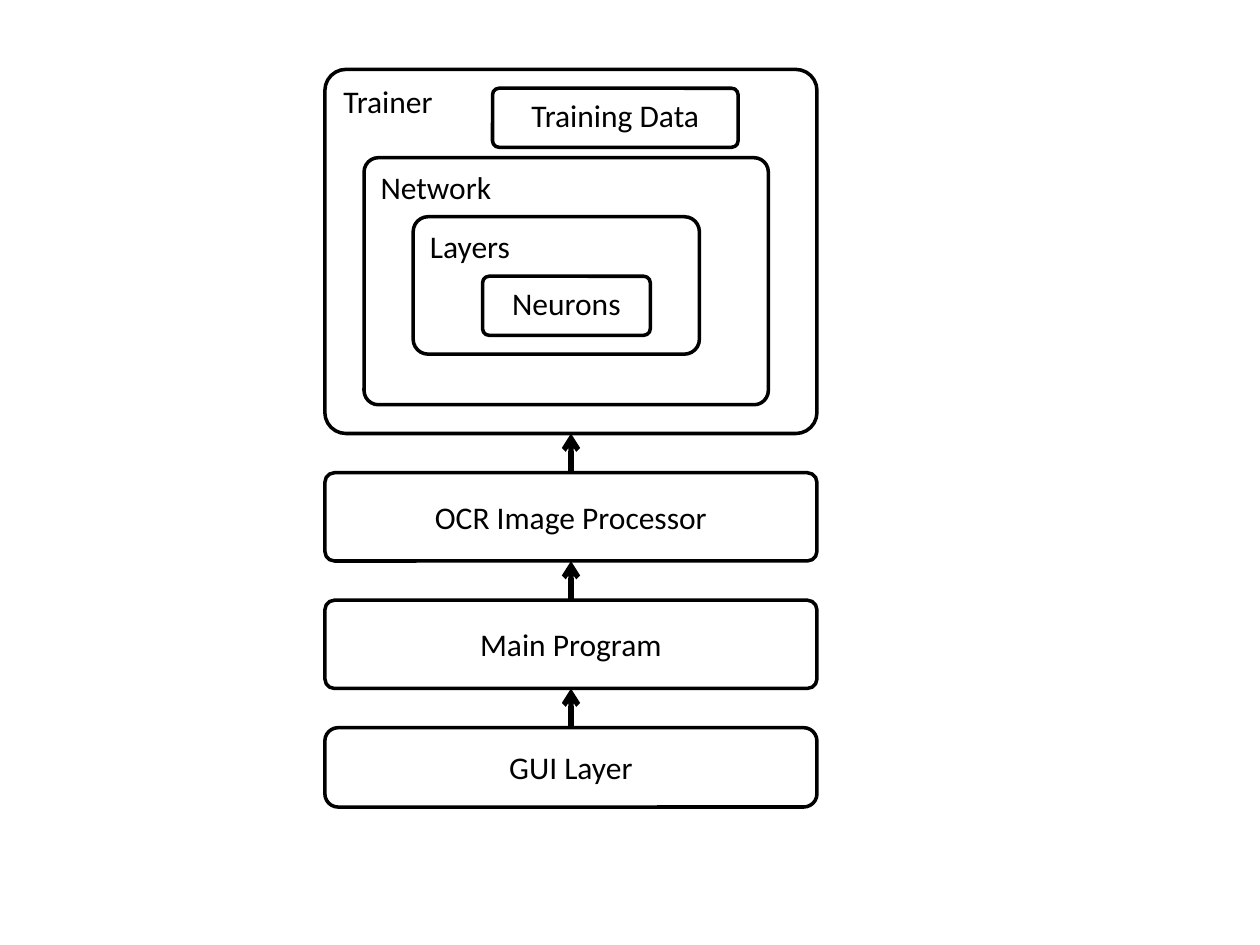
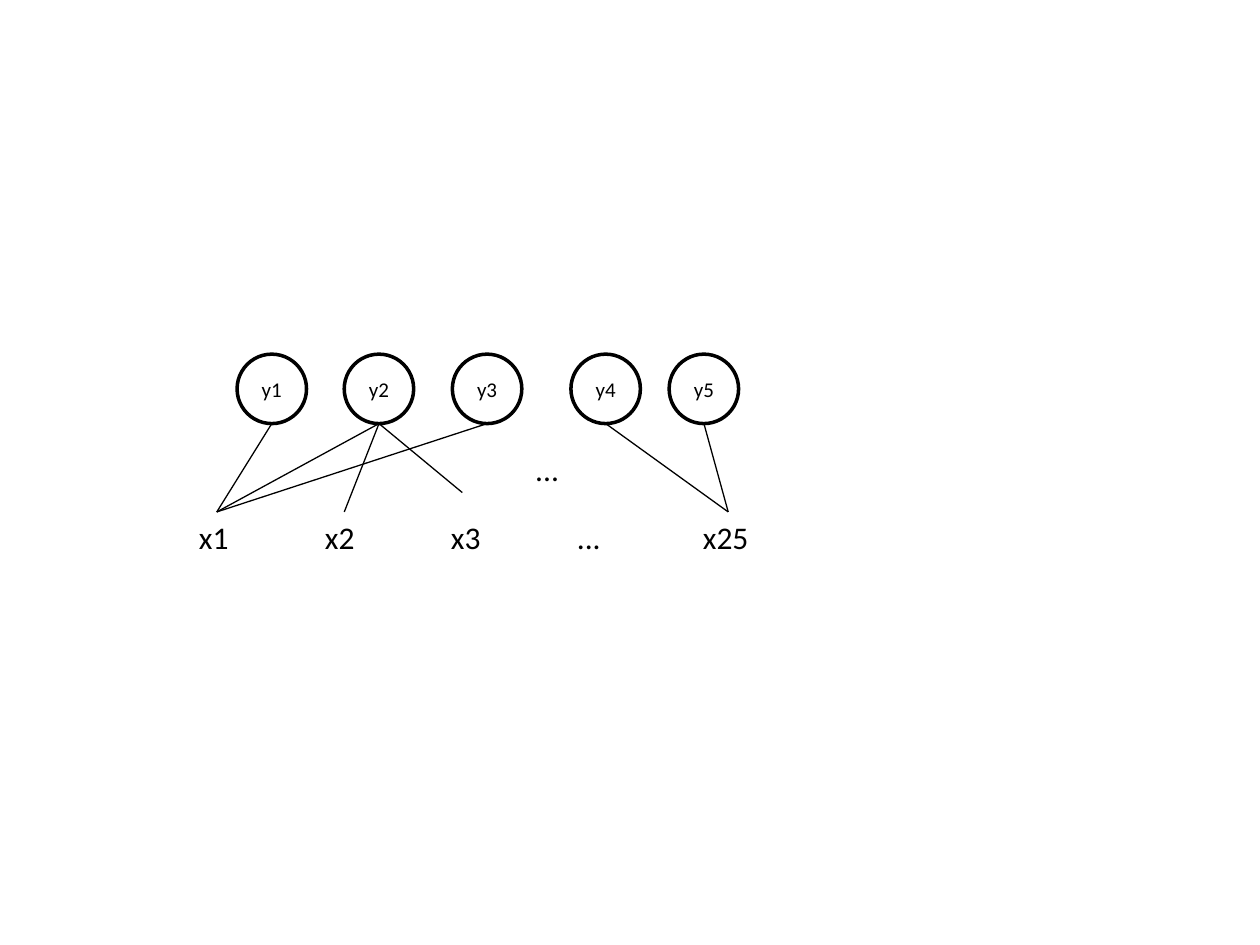
from dataclasses import dataclass

from lxml import etree
from pptx import Presentation
from pptx.dml.color import RGBColor
from pptx.enum.shapes import MSO_CONNECTOR, MSO_SHAPE
from pptx.enum.text import MSO_ANCHOR, PP_ALIGN
from pptx.oxml.ns import qn
from pptx.util import Cm, Pt

ROUNDED, CIRCLE = MSO_SHAPE.ROUNDED_RECTANGLE, MSO_SHAPE.OVAL
STRAIGHT = MSO_CONNECTOR.STRAIGHT
TOP, MIDDLE = MSO_ANCHOR.TOP, MSO_ANCHOR.MIDDLE
LEFT, CENTER = PP_ALIGN.LEFT, PP_ALIGN.CENTER
TOP_SITE, BOTTOM_SITE = 0, 2
BLANK_LAYOUT = 6


@dataclass(frozen=True)
class Theme:
    """Colours, font, type sizes and line widths of the deck."""
    ink: RGBColor = RGBColor(0, 0, 0)
    font: str = "Calibri"
    body: Pt = Pt(18)
    small: Pt = Pt(12)
    outline: Pt = Pt(2)
    arrow: Pt = Pt(3)
    hairline: Pt = Pt(0.75)


THEME = Theme()


def write(shape, text, size=THEME.body, align=LEFT, anchor=TOP):
    """Put one styled paragraph in a shape and return the paragraph."""
    tf = shape.text_frame
    tf.word_wrap = True
    tf.vertical_anchor = anchor
    p = tf.paragraphs[0]
    p.text = text
    p.alignment = align
    p.font.name, p.font.size = THEME.font, size
    p.font.color.rgb = THEME.ink
    return p


def add_outlined(s, kind, text, left, top, width, height, **style):
    """Add an unfilled black-outlined shape with a label."""
    sp = s.shapes.add_shape(kind, Cm(left), Cm(top), Cm(width), Cm(height))
    sp.shadow.inherit = False
    sp.fill.background()
    sp.line.color.rgb = THEME.ink
    sp.line.width = THEME.outline
    write(sp, text, **style)
    return sp


def add_block(s, text, left, top, width, height, corner=0.109, **style):
    """Add a rounded block whose corner is a share of its shorter side."""
    sp = add_outlined(s, ROUNDED, text, left, top, width, height, **style)
    sp.adjustments[0] = corner
    return sp


def add_label(s, text, left, top, width, height=1.02):
    """Add a text box and return its paragraph."""
    sp = s.shapes.add_textbox(Cm(left), Cm(top), Cm(width), Cm(height))
    return write(sp, text)


def add_line(s, x1, y1, x2, y2, width):
    """Add a plain straight line."""
    line = s.shapes.add_connector(STRAIGHT, Cm(x1), Cm(y1), Cm(x2), Cm(y2))
    line.line.color.rgb = THEME.ink
    line.line.width = width
    etree.SubElement(line._element.spPr, qn("a:effectLst"))
    return line


def add_arrow(s, lower, upper):
    """Join the top of one block to the bottom of the block above it."""
    arrow = add_line(s, 0, 0, 0, 0, THEME.arrow)
    arrow.begin_connect(lower, TOP_SITE)
    arrow.end_connect(upper, BOTTOM_SITE)
    etree.SubElement(arrow.line._get_or_add_ln(), qn("a:tailEnd"), type="arrow")


def set_tab_stops(p, step, count):
    """Give a paragraph evenly spaced left tab stops."""
    tabs = etree.SubElement(p._p.get_or_add_pPr(), qn("a:tabLst"))
    for i in range(1, count + 1):
        etree.SubElement(tabs, qn("a:tab"), pos=str(Cm(step * i)), algn="l")


def add_trainer(s, left, top, width, height):
    """Draw the trainer block with its nested parts."""
    trainer = add_block(s, "Trainer", left, top, width, height, 0.058)
    add_block(s, "Network", left + 0.79, top + 1.78, 8.15, 4.98, 0.058)
    add_block(s, "Layers", left + 1.78, top + 2.97, 5.77, 2.77)
    add_block(s, "Neurons", left + 3.18, top + 4.17, 3.38, 1.19, align=CENTER)
    add_block(s, "Training Data", left + 3.38, top + 0.38, 4.95, 1.19, align=CENTER)
    return trainer


def architecture_slide(s, left, top, width):
    """Stack the program layers below the trainer, with arrows going up."""
    gap, trainer_height = 0.79, 7.34
    upper = add_trainer(s, left, top, width, trainer_height)
    top += trainer_height + gap
    layers = (("OCR Image Processor", 1.78, 0.109), ("Main Program", 1.78, 0.109),
              ("GUI Layer", 1.6, 0.167))
    for text, height, corner in layers:
        lower = add_block(s, text, left, top, width, height, corner,
                          align=CENTER, anchor=MIDDLE)
        add_arrow(s, lower, upper)
        upper = lower
        top += height + gap


def neurons_slide(s, left, top, width):
    """Draw the output neurons and their links to the inputs."""
    diameter, input_top = 1.4, 3.18
    neurons = {"y1": 1.02, "y2": 3.18, "y3": 5.36, "y4": 7.75, "y5": 9.73}
    inputs = {"x1": (0.61, input_top), "x2": (3.18, input_top),
              "x3": (5.56, 2.79), "x25": (10.92, input_top)}
    links = (("x1", "y1"), ("x1", "y2"), ("x1", "y3"), ("x2", "y2"),
             ("x3", "y2"), ("x25", "y5"), ("x25", "y4"))
    for name, x in neurons.items():
        add_outlined(s, CIRCLE, name, left + x, top, diameter, diameter,
                     size=THEME.small, align=CENTER, anchor=MIDDLE)
    p = add_label(s, "x1\tx2\tx3\t...\tx25", left, top + input_top, width)
    set_tab_stops(p, 2.54, 4)
    for source, target in links:
        x, y = inputs[source]
        add_line(s, left + x, top + y, left + neurons[target] + diameter / 2,
                 top + diameter, THEME.hairline)
    add_label(s, "...", left + 6.78, top + 1.8, 1.37)


def main():
    """Build and save the deck."""
    prs = Presentation()
    prs.slide_width, prs.slide_height = Cm(25.4), Cm(19.05)
    blank = prs.slide_layouts[BLANK_LAYOUT]
    architecture_slide(prs.slides.add_slide(blank), 6.55, 1.4, 9.92)
    neurons_slide(prs.slides.add_slide(blank), 3.76, 7.14, 12.7)
    prs.save("out.pptx")


if __name__ == "__main__":
    main()
